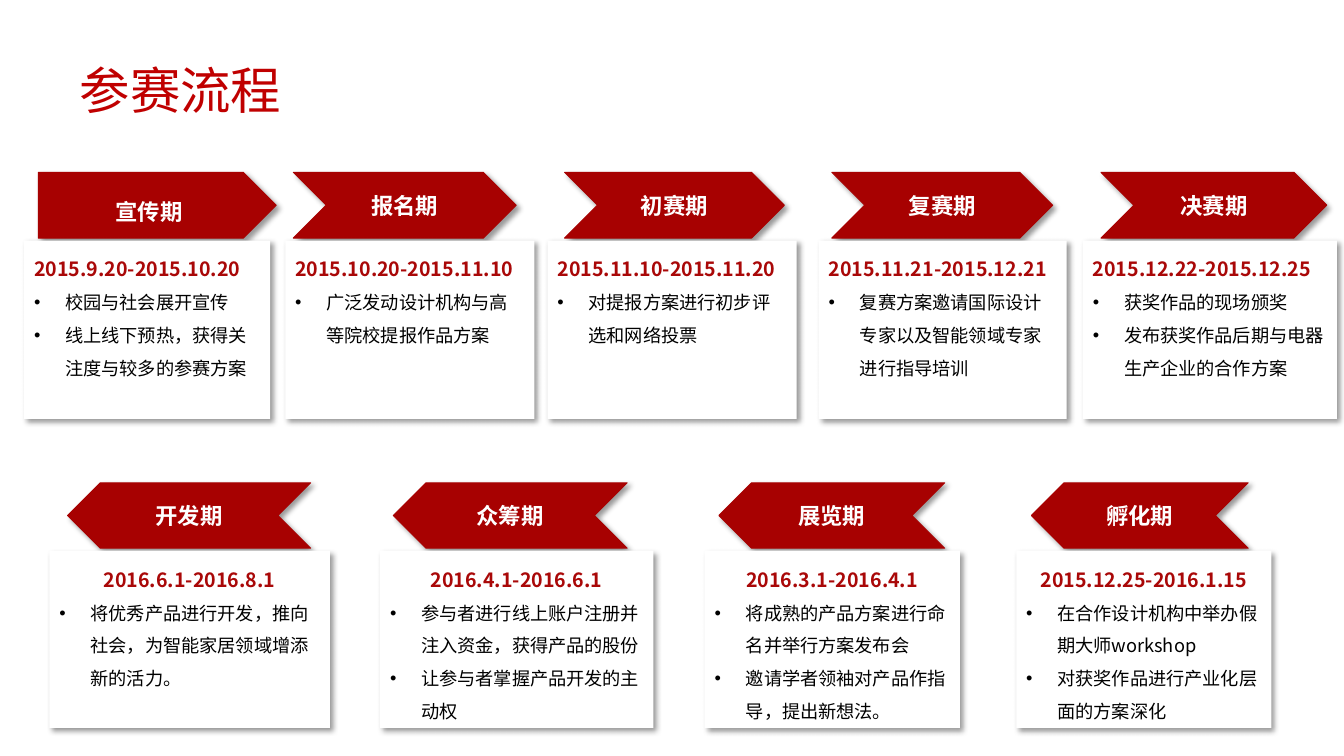
import dataclasses

import pptx
import pptx.dml.color
import pptx.enum.shapes
import pptx.enum.text
import pptx.oxml
import pptx.oxml.ns
import pptx.util
from lxml import etree

SHAPE = pptx.enum.shapes.MSO_SHAPE
ALIGN = pptx.enum.text.PP_ALIGN
ANCHOR = pptx.enum.text.MSO_ANCHOR
qn = pptx.oxml.ns.qn


@dataclasses.dataclass(frozen=True)
class Theme:
    font: str = "Noto Sans CJK SC"
    title: str = "C00000"
    banner: str = "A70101"
    date: str = "A90808"
    card: str = "FFFFFF"
    text: str = "000000"
    title_size: int = 36
    banner_size: int = 16
    date_size: int = 14
    text_size: int = 13


@dataclasses.dataclass(frozen=True)
class Stage:
    name: str
    dates: str
    tasks: tuple
    banner: tuple
    card: tuple


THEME = Theme()
WIDTH = pptx.util.Inches(13.33)
HEIGHT = pptx.util.Inches(7.5)
TITLE_BOX = (5.18, 7.07, 89.72, 9.6)
FORWARD_ROW = (22.8, 32.6)
RETURN_ROW = (63.87, 32.4)
BANNER_SHARE = 0.267
CARD_START = 0.277

FORWARD_STAGES = [
    Stage("宣传期", "2015.9.20-2015.10.20",
          ("校园与社会展开宣传", "线上线下预热，获得关注度与较多的参赛方案"),
          (2.85, 17.7), (1.8, 18.3)),
    Stage("报名期", "2015.10.20-2015.11.10",
          ("广泛发动设计机构与高等院校提报作品方案",),
          (21.83, 16.58), (21.23, 18.53)),
    Stage("初赛期", "2015.11.10-2015.11.20",
          ("对提报方案进行初步评选和网络投票",),
          (42.01, 16.35), (40.74, 18.53)),
    Stage("复赛期", "2015.11.21-2015.12.21",
          ("复赛方案邀请国际设计专家以及智能领域专家进行指导培训",),
          (61.89, 16.43), (60.92, 18.45)),
    Stage("决赛期", "2015.12.22-2015.12.25",
          ("获奖作品的现场颁奖", "发布获奖作品后期与电器生产企业的合作方案"),
          (81.92, 16.8), (80.57, 18.9)),
]
RETURN_STAGES = [
    Stage("开发期", "2016.6.1-2016.8.1",
          ("将优秀产品进行开发，推向社会，为智能家居领域增添新的活力。",),
          (5.03, 18.08), (3.68, 20.86)),
    Stage("众筹期", "2016.4.1-2016.6.1",
          ("参与者进行线上账户注册并注入资金，获得产品的股份", "让参与者掌握产品开发的主动权"),
          (29.26, 17.4), (28.28, 20.33)),
    Stage("展览期", "2016.3.1-2016.4.1",
          ("将成熟的产品方案进行命名并举行方案发布会", "邀请学者领袖对产品作指导，提出新想法。"),
          (53.49, 16.8), (52.44, 18.98)),
    Stage("孵化期", "2015.12.25-2016.1.15",
          ("在合作设计机构中举办假期大师workshop", "对获奖作品进行产业化层面的方案深化"),
          (76.74, 16.13), (75.62, 18.98)),
]


def place(box):
    left, top, width, height = box
    return (int(WIDTH * left / 100), int(HEIGHT * top / 100),
            int(WIDTH * width / 100), int(HEIGHT * height / 100))


def rgb(colour):
    return pptx.dml.color.RGBColor.from_string(colour)


def style(paragraph, size, colour, bold=False):
    for run in paragraph.runs:
        run.font.name = THEME.font
        run.font.size = pptx.util.Pt(size)
        run.font.bold = bold
        run.font.color.rgb = rgb(colour)
        latin = run.font._element.find(qn("a:latin"))
        latin.addnext(latin.makeelement(qn("a:ea"), {"typeface": THEME.font}))


def add_bullet(paragraph):
    indent = pptx.util.Inches(0.31)
    properties = paragraph._p.get_or_add_pPr()
    properties.set("marL", str(indent))
    properties.set("indent", str(-indent))
    etree.SubElement(properties, qn("a:buFont"), typeface="Arial")
    etree.SubElement(properties, qn("a:buChar"), char="•")


def add_panel(slide, kind, box, fill):
    panel = slide.shapes.add_shape(kind, *place(box))
    panel.fill.solid()
    panel.fill.fore_color.rgb = rgb(fill)
    panel.line.fill.background()
    panel.shadow.inherit = False
    effects = panel._element.spPr.find(qn("a:effectLst"))
    shadow = etree.SubElement(
        effects, qn("a:outerShdw"), blurRad=str(pptx.util.Pt(4)),
        dist=str(pptx.util.Pt(3)), dir=str(45 * 60000), algn="tl", rotWithShape="0")
    colour = etree.SubElement(shadow, qn("a:srgbClr"), val="000000")
    etree.SubElement(colour, qn("a:alpha"), val="40000")
    panel.text_frame.word_wrap = True
    return panel


def add_banner(slide, box, name, starts, backward):
    kind = SHAPE.PENTAGON if starts else SHAPE.CHEVRON
    banner = add_panel(slide, kind, box, THEME.banner)
    banner.line.color.rgb = rgb(THEME.banner)
    banner.line.width = pptx.util.Pt(0.75)
    if backward:
        banner.rotation = 180
        banner._element.spPr.xfrm.set("flipV", "1")
    banner.text_frame.text = name
    banner.text_frame.vertical_anchor = ANCHOR.MIDDLE
    heading = banner.text_frame.paragraphs[0]
    heading.alignment = ALIGN.CENTER
    if starts:
        heading.line_spacing = 1.5
    style(heading, THEME.banner_size, THEME.card, True)


def add_card(slide, box, stage, date_alignment):
    card = add_panel(slide, SHAPE.RECTANGLE, box, THEME.card)
    frame = card.text_frame
    frame.vertical_anchor = ANCHOR.TOP
    frame.text = "\n".join((stage.dates, *stage.tasks))
    dates, *tasks = frame.paragraphs
    dates.alignment = date_alignment
    dates.line_spacing = 1.5
    style(dates, THEME.date_size, THEME.date, True)
    for task in tasks:
        add_bullet(task)
        task.alignment = ALIGN.LEFT
        task.line_spacing = 1.5
        style(task, THEME.text_size, THEME.text)


def add_stage_row(slide, row, stages, backward):
    top, height = row
    for position, stage in enumerate(stages):
        banner_left, banner_width = stage.banner
        card_left, card_width = stage.card
        starts = position == 0 and not backward
        add_banner(slide, (banner_left, top, banner_width, height * BANNER_SHARE),
                   stage.name, starts, backward)
        add_card(slide, (card_left, top + height * CARD_START, card_width,
                         height * (1 - CARD_START)),
                 stage, ALIGN.CENTER if backward else ALIGN.LEFT)


def add_title(slide, box):
    title = slide.shapes.title
    title.left, title.top, title.width, title.height = place(box)
    title.text_frame.text = "参赛流程"
    title.text_frame.vertical_anchor = ANCHOR.MIDDLE
    heading = title.text_frame.paragraphs[0]
    heading.alignment = ALIGN.LEFT
    style(heading, THEME.title_size, THEME.title)


def main():
    presentation = pptx.Presentation()
    presentation.slide_width = WIDTH
    presentation.slide_height = HEIGHT
    slide = presentation.slides.add_slide(presentation.slide_layouts[5])
    add_title(slide, TITLE_BOX)
    add_stage_row(slide, FORWARD_ROW, FORWARD_STAGES, False)
    add_stage_row(slide, RETURN_ROW, RETURN_STAGES, True)
    presentation.save("out.pptx")


if __name__ == "__main__":
    main()
